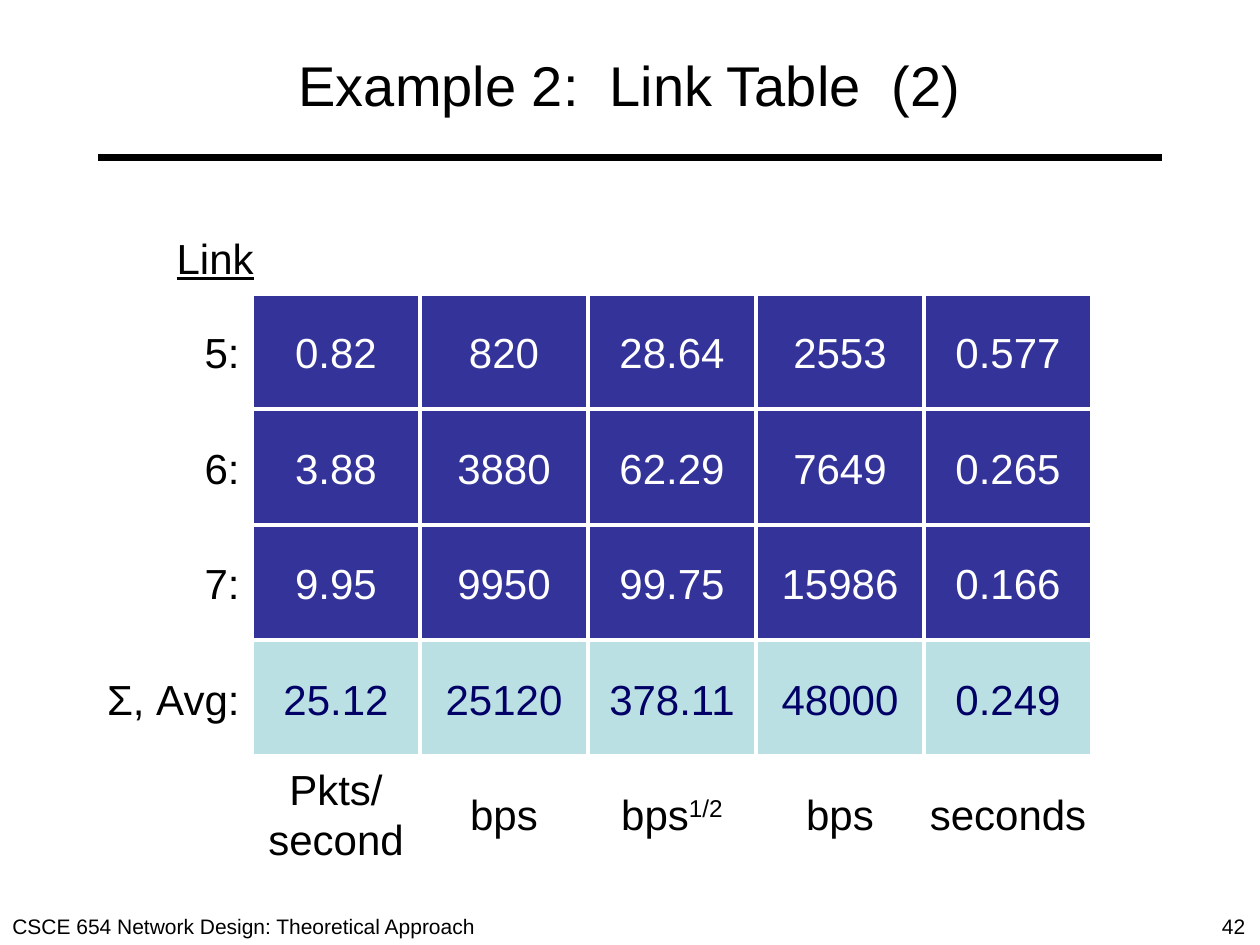
from dataclasses import dataclass

import pptx
import pptx.dml.color
import pptx.enum.shapes
import pptx.enum.text
import pptx.oxml.ns
import pptx.util
from lxml import etree

Inches, Pt = pptx.util.Inches, pptx.util.Pt
Align = pptx.enum.text.PP_ALIGN
Anchor = pptx.enum.text.MSO_ANCHOR

COLORS = {
    "black": "000000",
    "white": "FFFFFF",
    "indigo": "333399",
    "pale": "BBE0E3",
    "navy": "000066",
}
FONT = "Arial"
BODY_SIZE = 24


@dataclass(frozen=True)
class Box:
    left: float
    top: float
    width: float
    height: float

    def lengths(self) -> tuple:
        return tuple(Inches(v) for v in (self.left, self.top, self.width, self.height))


@dataclass(frozen=True)
class LinkRow:
    label: str
    values: tuple
    fill: str = "indigo"
    ink: str = "white"


@dataclass(frozen=True)
class Unit:
    text: str
    exponent: str = ""


GRID_LEFT, GRID_TOP = 2, 7 / 3
COLUMN_WIDTH, ROW_HEIGHT = 4 / 3, 11 / 12
HEADING_SIDE = 7 / 12

LINK_ROWS = (
    LinkRow("5:", ("0.82", "820", "28.64", "2553", "0.577")),
    LinkRow("6:", ("3.88", "3880", "62.29", "7649", "0.265")),
    LinkRow("7:", ("9.95", "9950", "99.75", "15986", "0.166")),
    LinkRow("Σ, Avg:", ("25.12", "25120", "378.11", "48000", "0.249"), "pale", "navy"),
)
UNITS = (Unit("Pkts/\vsecond"), Unit("bps"), Unit("bps", "1/2"), Unit("bps"), Unit("seconds"))


def rgb(name: str) -> pptx.dml.color.RGBColor:
    return pptx.dml.color.RGBColor.from_string(COLORS[name])


def cell_box(column: int, row: int) -> Box:
    return Box(GRID_LEFT + column * COLUMN_WIDTH, GRID_TOP + row * ROW_HEIGHT,
               COLUMN_WIDTH, ROW_HEIGHT)


def write(shape, text: str, size: int = BODY_SIZE, color: str = "black",
          align=Align.CENTER, anchor=Anchor.MIDDLE, wrap: bool = False):
    """Fill a shape with one formatted paragraph and return it."""
    frame = shape.text_frame
    frame.word_wrap = wrap
    frame.vertical_anchor = anchor
    paragraph = frame.paragraphs[0]
    paragraph.text = text
    paragraph.alignment = align
    paragraph.font.name = FONT
    paragraph.font.size = Pt(size)
    paragraph.font.color.rgb = rgb(color)
    return paragraph


def add_rectangle(slide, box: Box, fill: str = ""):
    """Add a white-edged filled rectangle, or a bare one when no fill is given."""
    shape = slide.shapes.add_shape(pptx.enum.shapes.MSO_SHAPE.RECTANGLE, *box.lengths())
    shape.shadow.inherit = False
    if fill:
        shape.fill.solid()
        shape.fill.fore_color.rgb = rgb(fill)
        shape.line.color.rgb = rgb("white")
        shape.line.width = Pt(2.25)
    else:
        shape.fill.background()
        shape.line.fill.background()
    return shape


def add_unit(slide, box: Box, unit: Unit) -> None:
    paragraph = write(add_rectangle(slide, box), unit.text)
    if unit.exponent:
        run = paragraph.add_run()
        run.text = unit.exponent
        run._r.get_or_add_rPr().set("baseline", "30000")


def add_footer(slide, box: Box, text: str) -> None:
    shape = slide.shapes.add_textbox(*box.lengths())
    write(shape, text, size=12, align=Align.LEFT, anchor=Anchor.TOP)
    shape.text_frame.auto_size = pptx.enum.text.MSO_AUTO_SIZE.SHAPE_TO_FIT_TEXT


def add_title_rule(slide) -> None:
    rule = slide.shapes.add_connector(
        pptx.enum.shapes.MSO_CONNECTOR.STRAIGHT,
        Inches(0.78), Inches(1.25), Inches(9.22), Inches(1.25))
    rule.line.color.rgb = rgb("black")
    rule.line.width = Pt(4.5)
    etree.SubElement(rule._element.spPr, pptx.oxml.ns.qn("a:effectLst"))


def add_link_table(slide) -> None:
    heading_box = Box(GRID_LEFT - HEADING_SIDE, GRID_TOP - HEADING_SIDE,
                      HEADING_SIDE, HEADING_SIDE)
    write(add_rectangle(slide, heading_box), "Link").font.underline = True
    for row, link in enumerate(LINK_ROWS):
        write(add_rectangle(slide, cell_box(-1, row)), link.label, align=Align.RIGHT)
        for column, value in enumerate(link.values):
            write(add_rectangle(slide, cell_box(column, row), link.fill), value, color=link.ink)
    for column, unit in enumerate(UNITS):
        add_unit(slide, cell_box(column, len(LINK_ROWS)), unit)


def main() -> None:
    presentation = pptx.Presentation()
    presentation.slide_width, presentation.slide_height = Inches(10), Inches(7.5)
    slide = presentation.slides.add_slide(presentation.slide_layouts.get_by_name("Title Only"))

    title = slide.shapes.title
    title.left, title.top, title.width, title.height = Box(0.5, 0.17, 9, 1).lengths()
    write(title, "Example 2:  Link Table  (2)", size=32, wrap=True)
    add_title_rule(slide)

    add_link_table(slide)

    add_footer(slide, Box(0, 7.2, 3.9, 0.3), "CSCE 654 Network Design: Theoretical Approach")
    add_footer(slide, Box(9.6, 7.2, 0.4, 0.3), "42")

    presentation.save("out.pptx")


if __name__ == "__main__":
    main()
